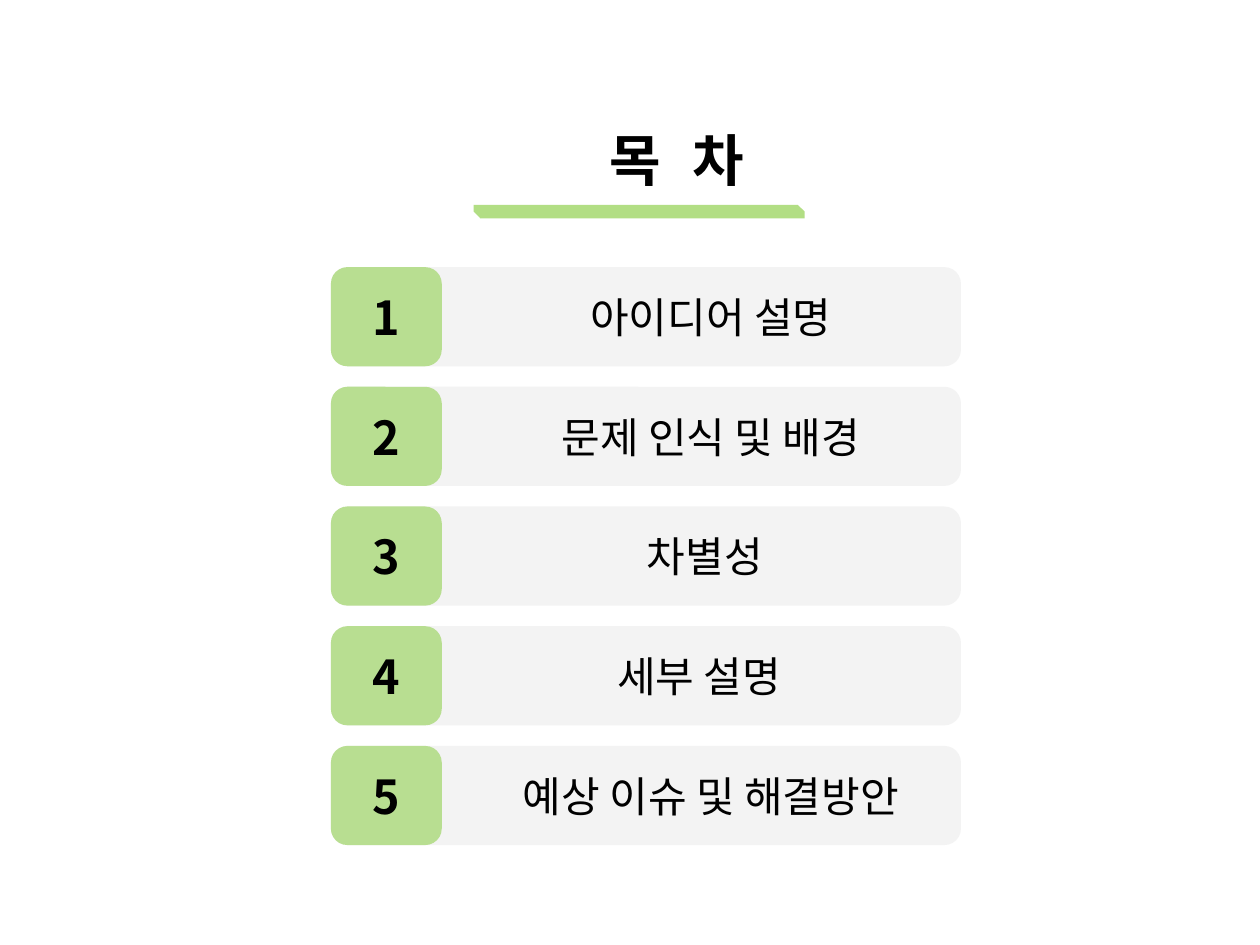
from lxml import etree
from pptx import Presentation
from pptx.dml.color import RGBColor
from pptx.enum.shapes import MSO_SHAPE
from pptx.enum.text import MSO_ANCHOR, PP_ALIGN
from pptx.oxml.ns import qn
from pptx.util import Inches, Pt

ROUNDED = MSO_SHAPE.ROUNDED_RECTANGLE
SNIPPED = MSO_SHAPE.SNIP_2_DIAG_RECTANGLE
CENTER = PP_ALIGN.CENTER
MIDDLE = MSO_ANCHOR.MIDDLE

BLACK = RGBColor(0x00, 0x00, 0x00)
GREEN = RGBColor(0x92, 0xD0, 0x50)
GREY = RGBColor(0xD9, 0xD9, 0xD9)
FONT = "Noto Sans CJK KR"

SLIDE_WIDTH = 7.5
SLIDE_HEIGHT = SLIDE_WIDTH * 3 / 4
ROW_LEFT, FIRST_ROW_TOP, LAST_ROW_TOP = 1.97, 1.59, 4.44
ROW_WIDTH, ROW_HEIGHT, NUMBER_WIDTH = 3.75, 0.59, 0.66

# Topic and the left inset that centres it beside its number
TOPICS = [
    ("아이디어 설명", 0.87),
    ("문제 인식 및 배경", 0.87),
    ("차별성", 0.8),
    ("세부 설명", 0.73),
    ("예상 이슈 및 해결방안", 0.87),
]
ROW_PITCH = (LAST_ROW_TOP - FIRST_ROW_TOP) / (len(TOPICS) - 1)


class ContentsSlide:
    def __init__(self, slide):
        self.shapes = slide.shapes

    def add_run(self, paragraph, text, size, bold=False, spacing=0):
        """Add a run; spacing is extra points after each character."""
        run = paragraph.add_run()
        run.text = text
        run.font.size = Pt(size)
        run.font.bold = bold
        run.font.name = FONT
        run.font.color.rgb = BLACK
        properties = run.font._element
        etree.SubElement(properties, qn("a:ea")).set("typeface", FONT)
        if spacing:
            properties.set("spc", str(round(spacing * 100)))

    def panel(self, kind, left, top, width, height, color, opacity):
        shape = self.shapes.add_shape(
            kind, Inches(left), Inches(top), Inches(width), Inches(height))
        shape.shadow.inherit = False
        shape.fill.solid()
        shape.fill.fore_color.rgb = color
        shape.line.fill.background()
        fill_color = shape.element.spPr.find(qn("a:solidFill"))[0]
        alpha = etree.SubElement(fill_color, qn("a:alpha"))
        alpha.set("val", str(opacity * 1000))
        return shape

    def label(self, shape, text, size, bold=False, inset=0.1):
        frame = shape.text_frame
        frame.word_wrap = True
        frame.vertical_anchor = MIDDLE
        frame.margin_left = Inches(inset)
        paragraph = frame.paragraphs[0]
        paragraph.alignment = CENTER
        self.add_run(paragraph, text, size, bold)

    def title(self):
        box = self.shapes.add_textbox(
            Inches(3.53), Inches(0.7), Inches(1.09), Inches(0.5))
        box.text_frame.word_wrap = True
        paragraph = box.text_frame.paragraphs[0]
        for text, spacing in (("목", 0), (" ", 8), ("차", 0)):
            self.add_run(paragraph, text, 24, True, spacing)
        underline = self.panel(SNIPPED, 2.82, 1.22, 1.97, 0.08, GREEN, 70)
        underline.adjustments[0] = 0
        underline.adjustments[1] = 0.5

    def topic_row(self, number, topic, inset):
        top = FIRST_ROW_TOP + (number - 1) * ROW_PITCH
        bar = self.panel(
            ROUNDED, ROW_LEFT, top, ROW_WIDTH, ROW_HEIGHT, GREY, 30)
        self.label(bar, topic, 18, inset=inset)
        badge = self.panel(
            ROUNDED, ROW_LEFT, top, NUMBER_WIDTH, ROW_HEIGHT, GREEN, 60)
        self.label(badge, str(number), 20, bold=True)


def main():
    presentation = Presentation()
    presentation.slide_width = Inches(SLIDE_WIDTH)
    presentation.slide_height = Inches(SLIDE_HEIGHT)
    blank = presentation.slide_layouts[6]
    contents = ContentsSlide(presentation.slides.add_slide(blank))
    contents.title()
    for number, (topic, inset) in enumerate(TOPICS, start=1):
        contents.topic_row(number, topic, inset)
    presentation.save("out.pptx")


if __name__ == "__main__":
    main()
